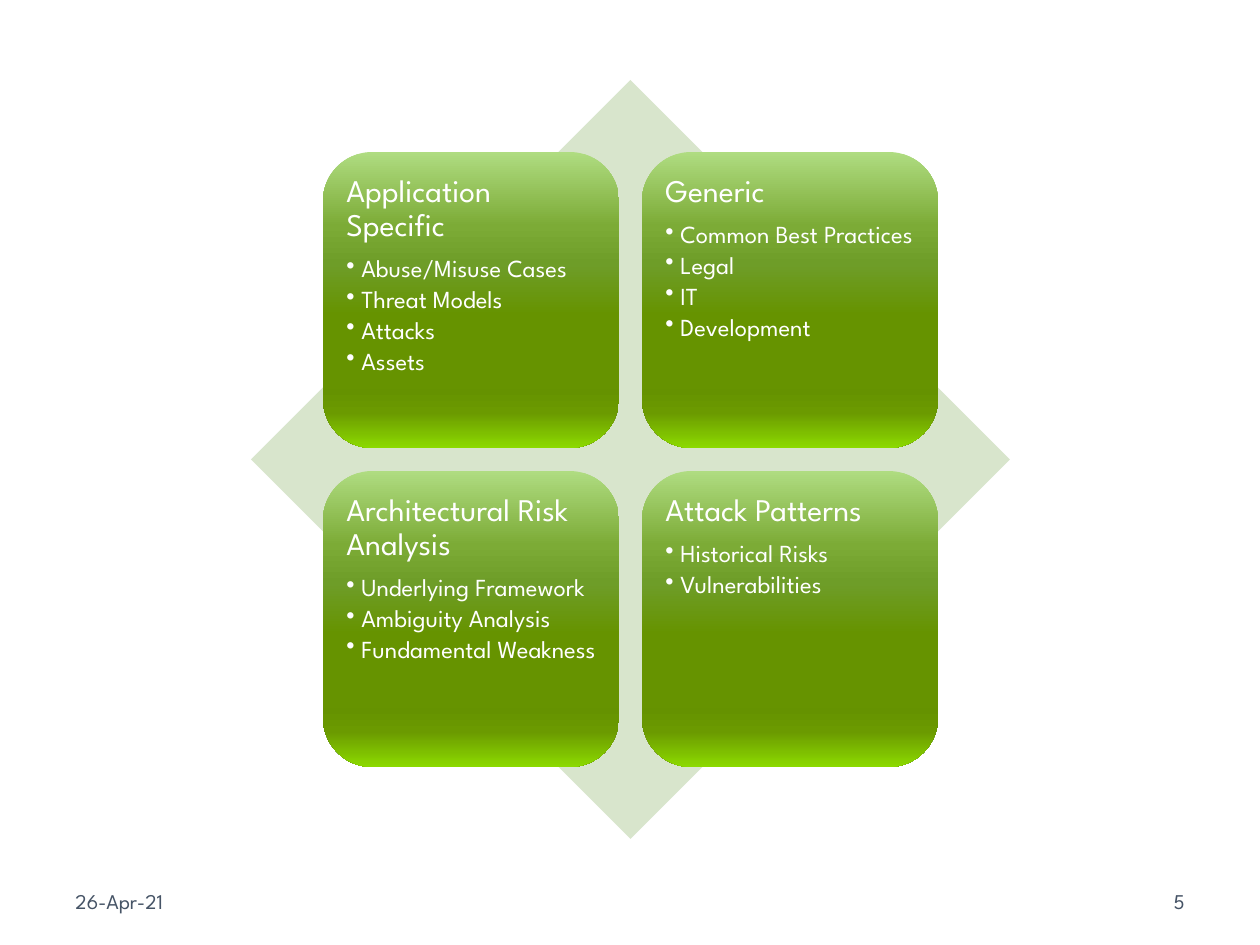
from lxml.etree import SubElement
from pptx import Presentation
from pptx.dml.color import RGBColor
from pptx.enum.shapes import MSO_SHAPE as Shape
from pptx.enum.text import MSO_ANCHOR as Anchor, PP_ALIGN as Align
from pptx.oxml.ns import qn
from pptx.util import Pt

PX = 914400 / 126
FONT = "League Spartan"
SHADES = [(0, "AFDC81"), (25, "7CAB36"), (38, "6E9D28"), (55, "669300"),
          (80, "659200"), (88, "6B9A00"), (100, "8CDA00")]
CARDS = [
    ("Application Specific",
     ["Abuse/Misuse Cases", "Threat Models", "Attacks", "Assets"]),
    ("Generic", ["Common Best Practices", "Legal", "IT", "Development"]),
    ("Architectural Risk Analysis",
     ["Underlying Framework", "Ambiguity Analysis", "Fundamental Weakness"]),
    ("Attack Patterns", ["Historical Risks", "Vulnerabilities"]),
]


def px(n):
    return round(n * PX)


def paint(color, tone):
    color.rgb = RGBColor.from_string(tone)


def add_run(par, text, size, tone):
    run = par.add_run()
    run.text = text
    run.font.size = Pt(size)
    run.font.name = FONT
    paint(run.font.color, tone)


def add_form(slide, kind, box):
    form = slide.shapes.add_shape(kind, *map(px, box))
    form.shadow.inherit = False
    form.line.fill.background()
    return form


def shade(form):
    """Fill a shape with the green shades, from top to bottom."""
    form.fill.gradient()
    form.fill.gradient_angle = 270
    stops = form.element.spPr.find(qn("a:gradFill")).find(qn("a:gsLst"))
    for old in list(stops):
        stops.remove(old)
    for part, tone in SHADES:
        stop = SubElement(stops, qn("a:gs"), pos=str(part * 1000))
        SubElement(stop, qn("a:srgbClr"), val=tone)


def add_bullet(par):
    props = par._p.get_or_add_pPr()
    props.set("marL", str(px(15)))
    props.set("indent", str(px(-15)))
    SubElement(props, qn("a:buChar"), char="•")


def add_card(slide, box, title, items):
    card = add_form(slide, Shape.ROUNDED_RECTANGLE, box)
    shade(card)
    frame = card.text_frame
    frame.word_wrap = True
    frame.vertical_anchor = Anchor.TOP
    frame.margin_left = frame.margin_top = px(9)
    frame.margin_right = frame.margin_bottom = px(7)
    for i, text in enumerate([title, *items]):
        par = frame.add_paragraph() if i else frame.paragraphs[0]
        par.alignment = Align.LEFT
        par.line_spacing = 0.9
        par.space_after = Pt(2.5 if i else 7.5)
        if i:
            par.level = 1
            add_bullet(par)
        add_run(par, text, 14 if i else 18, "FFFFFF")


def add_matrix(slide, box):
    """Place a diamond with two rows of two cards over it."""
    left, top, side = box
    diamond = add_form(slide, Shape.DIAMOND, (left, top, side, side))
    diamond.fill.solid()
    paint(diamond.fill.fore_color, "D8E5CC")
    size, gap = 296, 23
    edge = (side - 2 * size - gap) // 2
    for i, (title, items) in enumerate(CARDS):
        row, col = divmod(i, 2)
        x = left + edge + col * (size + gap)
        y = top + edge + row * (size + gap)
        add_card(slide, (x, y, size, size), title, items)


def add_foot(slide, box, text, align):
    frame = slide.shapes.add_textbox(*map(px, box)).text_frame
    frame.word_wrap = True
    frame.vertical_anchor = Anchor.MIDDLE
    par = frame.paragraphs[0]
    par.alignment = align
    add_run(par, text, 12, "465466")


def main():
    deck = Presentation()
    deck.slide_width, deck.slide_height = px(1260), px(945)
    slide = deck.slides.add_slide(deck.slide_layouts[6])
    add_foot(slide, (63, 876, 294, 50), "26-Apr-21", Align.LEFT)
    add_foot(slide, (903, 876, 294, 50), "5", Align.RIGHT)
    add_matrix(slide, (251, 80, 759))
    deck.save("out.pptx")


if __name__ == "__main__":
    main()
